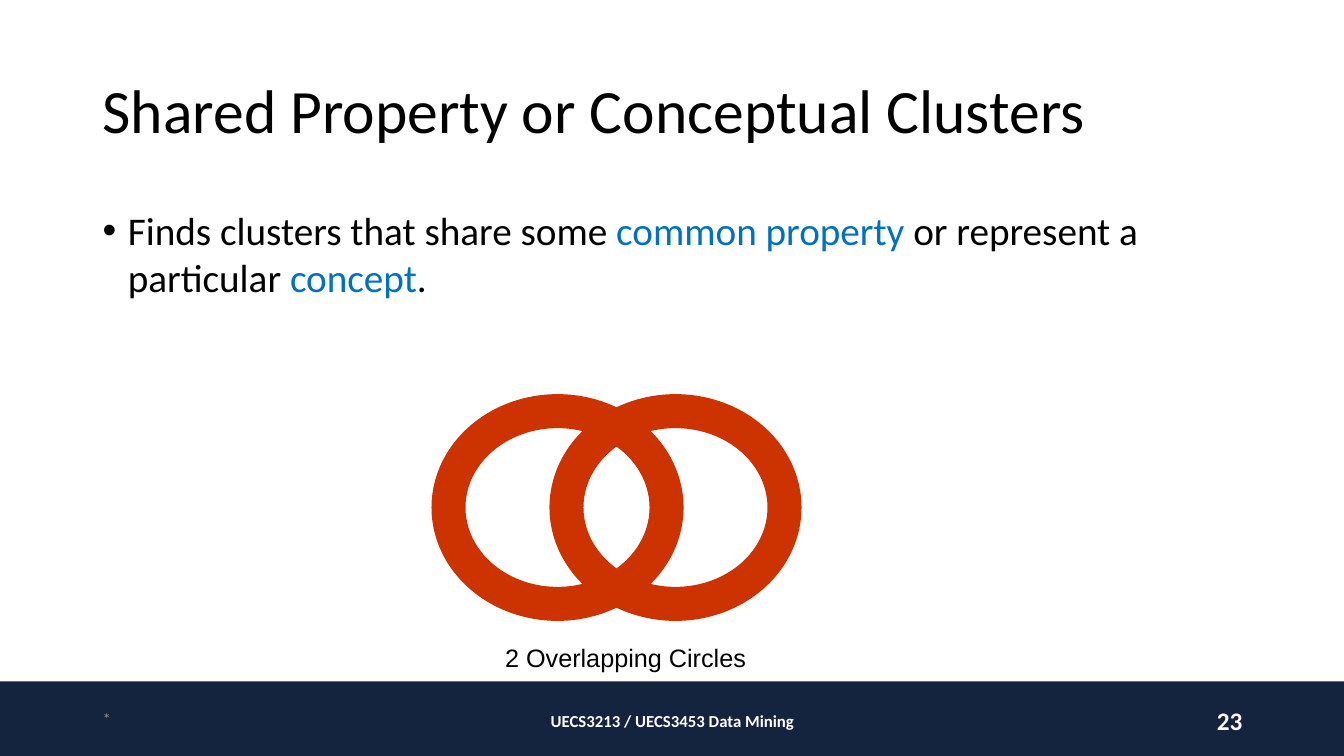
from lxml import etree
from pptx import Presentation
from pptx.dml.color import RGBColor
from pptx.enum.shapes import MSO_SHAPE
from pptx.enum.text import MSO_ANCHOR, PP_ALIGN
from pptx.oxml.ns import qn
from pptx.util import Inches, Pt

NAVY = RGBColor(0x14, 0x23, 0x3E)
BLACK = RGBColor(0x00, 0x00, 0x00)
BLUE = RGBColor(0x00, 0x70, 0xC0)
ORANGE = RGBColor(0xCC, 0x33, 0x00)
WHITE = RGBColor(0xFF, 0xFF, 0xFF)
GRAY = RGBColor(0x8C, 0x8C, 0x8C)
RECTANGLE, DONUT = MSO_SHAPE.RECTANGLE, MSO_SHAPE.DONUT
TOP, MIDDLE = MSO_ANCHOR.TOP, MSO_ANCHOR.MIDDLE
LEFT, CENTER, RIGHT = PP_ALIGN.LEFT, PP_ALIGN.CENTER, PP_ALIGN.RIGHT


class SlideWriter:
    """Draws styled elements on one slide."""

    def __init__(self, slide, font="Calibri"):
        self.slide = slide
        self.font = font

    def shape(self, kind, box, color):
        """Add a filled preset shape without outline."""
        shape = self.slide.shapes.add_shape(kind, *map(Inches, box))
        shape.shadow.inherit = False
        shape.fill.solid()
        shape.fill.fore_color.rgb = color
        shape.line.fill.background()
        return shape

    def text(self, box, runs, size, anchor=MIDDLE, bullet=False, bold=False,
             font=None, paragraph_format=None, frame_format=None):
        """Add a one-paragraph text box from (text, color) runs."""
        frame = self.slide.shapes.add_textbox(*map(Inches, box)).text_frame
        frame_values = {"word_wrap": True, "vertical_anchor": anchor}
        frame_values.update(frame_format or {})
        for name, value in frame_values.items():
            setattr(frame, name, value)
        paragraph = frame.paragraphs[0]
        if bullet:
            self.bullet(paragraph)
        for name, value in (paragraph_format or {}).items():
            setattr(paragraph, name, value)
        font_values = {"name": font or self.font, "size": Pt(size), "bold": bold}
        for words, color in runs:
            run = paragraph.add_run()
            run.text = words
            for name, value in font_values.items():
                setattr(run.font, name, value)
            run.font.color.rgb = color

    def bullet(self, paragraph):
        """Give a paragraph a hanging round bullet."""
        properties = paragraph._p.get_or_add_pPr()
        properties.set("marL", str(Inches(0.25)))
        properties.set("indent", str(Inches(-0.25)))
        etree.SubElement(properties, qn("a:buFont")).set("typeface", "Arial")
        etree.SubElement(properties, qn("a:buChar")).set("char", "•")


def main():
    """Build and save the slide."""
    deck = Presentation()
    deck.slide_width, deck.slide_height = Inches(13.33), Inches(7.5)
    writer = SlideWriter(deck.slides.add_slide(deck.slide_layouts[6]))

    writer.shape(RECTANGLE, (0, 6.76, 13.33, 0.74), NAVY)
    writer.text((0.92, 0.4, 11.5, 1.45),
                [("Shared Property or Conceptual Clusters", BLACK)], 44,
                paragraph_format={"line_spacing": 0.9})
    definition = [
        ("Finds clusters that share some ", BLACK),
        ("common property ", BLUE),
        ("or represent a particular ", BLACK),
        ("concept", BLUE),
        (".", BLACK),
    ]
    writer.text((0.92, 2, 11.5, 4.76), definition, 28, anchor=TOP, bullet=True)

    for circle_left in (4.28, 5.45):
        circle = writer.shape(DONUT, (circle_left, 3.91, 2.5, 2.25), ORANGE)
        circle.adjustments[0] = 0.15
    no_margins = dict.fromkeys(
        ("margin_left", "margin_top", "margin_right", "margin_bottom"), 0)
    writer.text((5.01, 6.37, 2.5, 0.32), [("2 Overlapping Circles", BLACK)], 18,
                anchor=TOP, font="Arial", frame_format=no_margins)

    footers = [
        ((0.92, 6.93, 3, 0.4), "*", 12, GRAY, False, LEFT),
        ((4.42, 6.95, 4.5, 0.4), "UECS3213 / UECS3453 Data Mining", 12, WHITE, True, CENTER),
        ((9.42, 6.95, 3, 0.4), "23", 18, WHITE, True, RIGHT),
    ]
    for box, words, size, color, bold, alignment in footers:
        writer.text(box, [(words, color)], size, bold=bold,
                    paragraph_format={"alignment": alignment})

    deck.save("out.pptx")


if __name__ == "__main__":
    main()
